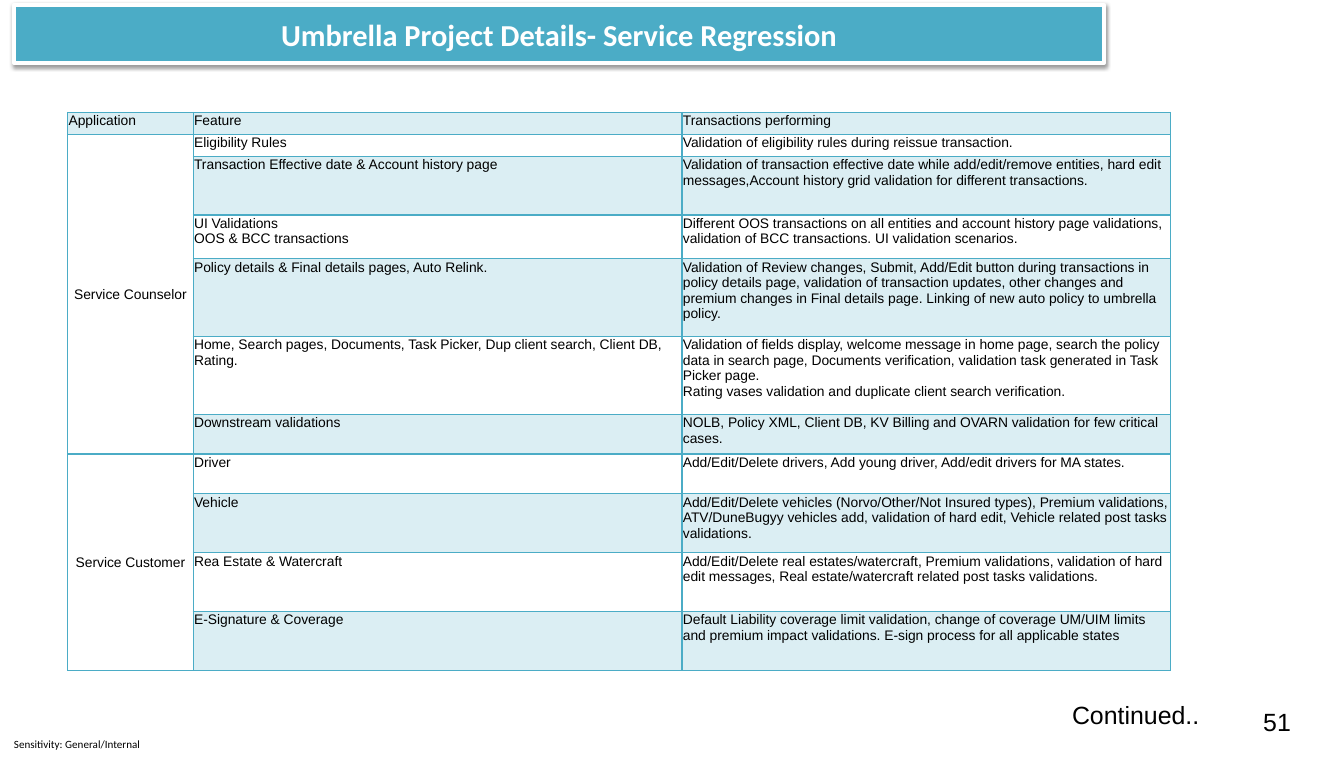
from dataclasses import dataclass

from lxml import etree
from pptx import Presentation
from pptx.dml.color import RGBColor
from pptx.enum.shapes import MSO_SHAPE as Shp
from pptx.enum.text import MSO_ANCHOR as Anchor, PP_ALIGN as Align
from pptx.oxml import parse_xml
from pptx.oxml.ns import nsdecls, qn
from pptx.util import Inches, Pt

TEAL = RGBColor(0x4B, 0xAC, 0xC6)
WHITE = RGBColor(0xFF, 0xFF, 0xFF)
BLACK = RGBColor(0, 0, 0)


@dataclass
class Label:
    text: str
    box: tuple[float, float, float, float]
    size: float
    font: str = "Arial"
    align: Align = Align.LEFT
    anchor: Anchor = Anchor.TOP
    inset: bool = True


@dataclass
class Feature:
    height: float
    name: str
    transactions: str


LABELS = [
    Label("Sensitivity: General/Internal", (0, 7.35, 1.55, 0.25), 8, "Calibri",
          Align.CENTER, Anchor.MIDDLE, inset=False),
    Label("51", (12.59, 7.05, 0.67, 0.4), 18),
    Label("Continued..", (10.67, 6.97, 1.83, 0.42), 18),
]

COL_WIDTHS = (1.26, 4.91, 4.91)
HEADER = Feature(0.22, "Feature", "Transactions performing")
APPLICATIONS = {
    "Service Counselor": [
        Feature(0.22, "Eligibility Rules",
                "Validation of eligibility rules during reissue transaction."),
        Feature(0.59, "Transaction Effective date & Account history page",
                "Validation of transaction effective date while add/edit/remove entities, "
                "hard edit messages,Account history grid validation for different "
                "transactions."),
        Feature(0.44, "UI Validations\nOOS & BCC transactions",
                "Different OOS transactions on all entities and account history page "
                "validations, validation of BCC transactions. UI validation scenarios."),
        Feature(0.78, "Policy details & Final details pages, Auto Relink.",
                "Validation of Review changes, Submit, Add/Edit button during "
                "transactions in policy details page, validation of transaction updates, "
                "other changes and premium changes in Final details page. Linking of new "
                "auto policy to umbrella policy."),
        Feature(0.78, "Home, Search pages, Documents, Task Picker, Dup client search, "
                "Client DB, Rating.",
                "Validation of fields display, welcome message in home page, search the "
                "policy data in search page, Documents verification, validation task "
                "generated in Task Picker page.\n"
                "Rating vases validation and duplicate client search verification."),
        Feature(0.4, "Downstream validations",
                "NOLB, Policy XML, Client DB, KV Billing and OVARN validation for few "
                "critical cases."),
    ],
    "Service Customer": [
        Feature(0.4, "Driver",
                "Add/Edit/Delete drivers, Add young driver, Add/edit drivers for MA "
                "states."),
        Feature(0.59, "Vehicle",
                "Add/Edit/Delete vehicles (Norvo/Other/Not Insured types), Premium "
                "validations, ATV/DuneBugyy vehicles add, validation of hard edit, "
                "Vehicle related post tasks validations."),
        Feature(0.59, "Rea Estate & Watercraft",
                "Add/Edit/Delete real estates/watercraft, Premium validations, "
                "validation of hard edit messages, Real estate/watercraft related post "
                "tasks validations."),
        Feature(0.59, "E-Signature & Coverage",
                "Default Liability coverage limit validation, change of coverage UM/UIM "
                "limits and premium impact validations. E-sign process for all "
                "applicable states"),
    ],
}


def set_text(p, text: str, size: float, font: str, color: RGBColor, align: Align) -> None:
    p.text = text
    p.alignment = align
    p.font.size, p.font.name = Pt(size), font
    p.font.color.rgb = color


def add_label(slide, label: Label) -> None:
    tf = slide.shapes.add_textbox(*map(Inches, label.box)).text_frame
    tf.word_wrap = True
    tf.vertical_anchor = label.anchor
    if not label.inset:
        tf.margin_left = tf.margin_top = tf.margin_right = tf.margin_bottom = 0
    set_text(tf.paragraphs[0], label.text, label.size, label.font, BLACK, label.align)


def add_title(slide, text: str) -> None:
    sp = slide.shapes.add_shape(Shp.RECTANGLE, Inches(0.14), Inches(0.05),
                                Inches(10.95), Inches(0.58))
    sp.fill.solid()
    sp.fill.fore_color.rgb = TEAL
    sp.line.color.rgb, sp.line.width = WHITE, Pt(3)
    sp.shadow.inherit = False
    sp._element.spPr.find(qn("a:effectLst")).append(parse_xml(
        f'<a:outerShdw {nsdecls("a")} blurRad="{Pt(3.1)}" dist="{Pt(1.6)}" dir="5400000" '
        'rotWithShape="0"><a:srgbClr val="000000"><a:alpha val="38000"/></a:srgbClr>'
        '</a:outerShdw>'))
    sp.text_frame.vertical_anchor = Anchor.MIDDLE
    p = sp.text_frame.paragraphs[0]
    set_text(p, text, 22, "Calibri", WHITE, Align.CENTER)
    p.font.bold = True


def style_cell(cell, shaded: bool) -> None:
    cell.margin_left = cell.margin_top = cell.margin_right = Inches(0.01)
    cell.margin_bottom = 0
    tc_pr = cell._tc.get_or_add_tcPr()
    for side in ("lnL", "lnR", "lnT", "lnB"):
        tc_pr.append(parse_xml(
            f'<a:{side} {nsdecls("a")} w="{Pt(1)}"><a:solidFill><a:srgbClr val="{TEAL}"/>'
            f'</a:solidFill></a:{side}>'))
    if shaded:
        cell.fill.solid()
        cell.fill.fore_color.rgb = TEAL
        color = tc_pr.find(qn("a:solidFill")).find(qn("a:srgbClr"))
        etree.SubElement(color, qn("a:alpha")).set("val", "20000")
    else:
        cell.fill.background()


def fill_cell(cell, text: str, align: Align = Align.LEFT) -> None:
    set_text(cell.text_frame.paragraphs[0], text, 10, "Arial", BLACK, align)


def add_feature_table(slide) -> None:
    features = [HEADER] + [f for group in APPLICATIONS.values() for f in group]
    table = slide.shapes.add_table(
        len(features), len(COL_WIDTHS), Inches(0.68), Inches(1.13),
        Inches(sum(COL_WIDTHS)), Inches(sum(f.height for f in features))).table
    table.first_row = table.horz_banding = False
    for col, width in zip(table.columns, COL_WIDTHS):
        col.width = Inches(width)

    # Feature rows, every second one tinted
    for i, feature in enumerate(features):
        table.rows[i].height = Inches(feature.height)
        for j in range(len(COL_WIDTHS)):
            style_cell(table.cell(i, j), shaded=i == 0 or (i % 2 == 0 and j > 0))
        fill_cell(table.cell(i, 1), feature.name)
        fill_cell(table.cell(i, 2), feature.transactions)

    # Application column, one merged cell per group
    fill_cell(table.cell(0, 0), "Application")
    top = 1
    for application, group in APPLICATIONS.items():
        cell = table.cell(top, 0)
        cell.merge(table.cell(top + len(group) - 1, 0))
        cell.vertical_anchor = Anchor.MIDDLE
        fill_cell(cell, application, Align.CENTER)
        top += len(group)


def main() -> None:
    prs = Presentation()
    prs.slide_width, prs.slide_height = Inches(13.5), Inches(7.6)
    slide = prs.slides.add_slide(prs.slide_layouts[6])
    add_title(slide, "Umbrella Project Details- Service Regression")
    add_feature_table(slide)
    for label in LABELS:
        add_label(slide, label)
    prs.save("out.pptx")


if __name__ == "__main__":
    main()
